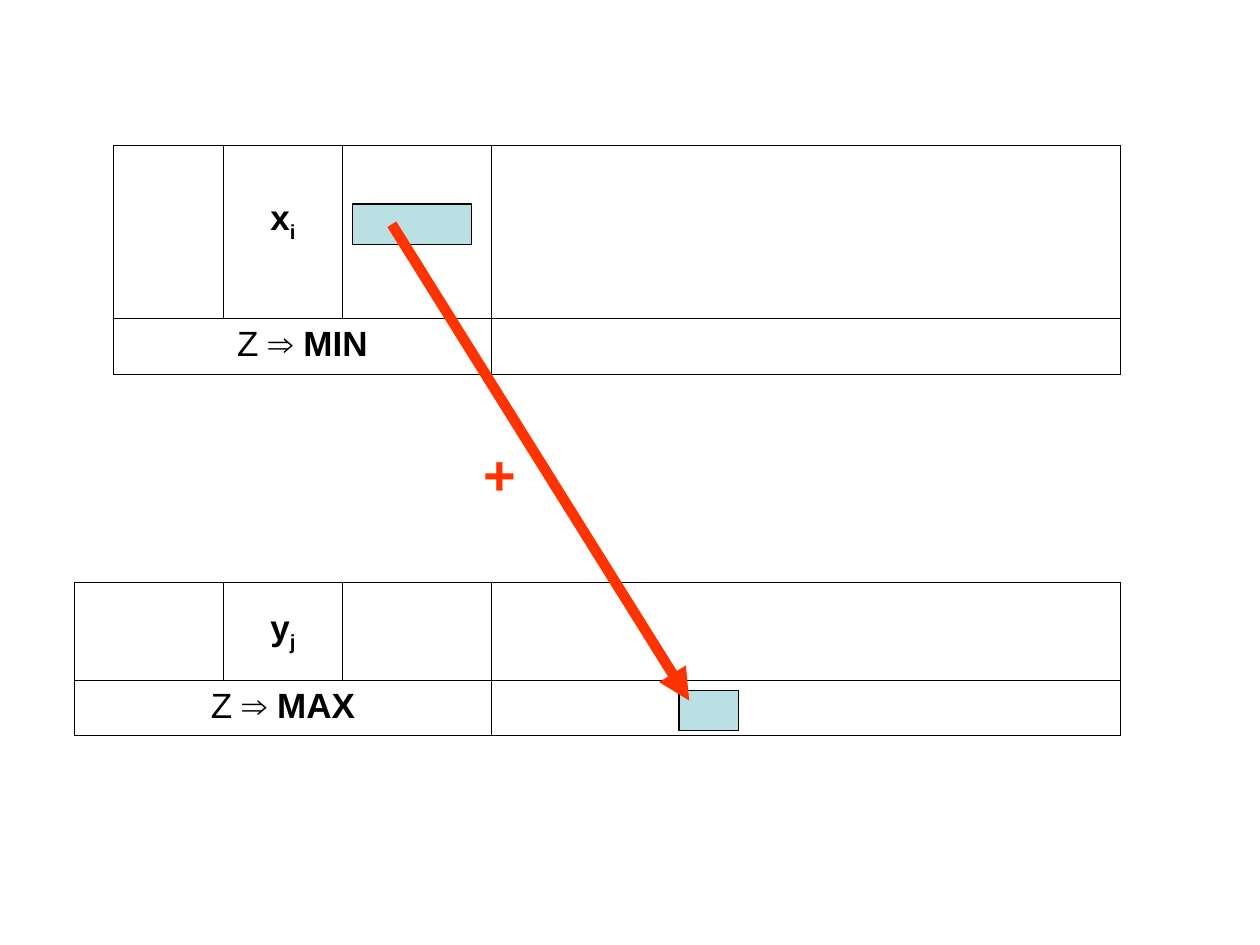
from dataclasses import dataclass
from typing import Any

from lxml import etree
from pptx import Presentation
from pptx import util as u
from pptx.dml.color import RGBColor
from pptx.enum import shapes, text
from pptx.oxml import ns

HUES = {"ink": "000000", "mark": "FF3300", "box": "BBE0E3"}


def hue(name):
    return RGBColor.from_string(HUES[name])


def write(para, words, size=20, bold=False, base=0, color="ink", align=None):
    para.alignment = align
    run = para.add_run()
    run.text = words
    font = run.font
    font.name = "Arial"
    font.size = u.Pt(size)
    font.bold = bold
    font.color.rgb = hue(color)
    if base:
        run._r.get_or_add_rPr().set("baseline", str(base * 1000))


@dataclass
class Sketch:
    slide: Any
    thin: float = 0.75
    edge: float = 0.45

    def border(self, cell):
        cell.fill.background()
        props = cell._tc.get_or_add_tcPr()
        for spot, side in enumerate(("lnL", "lnR", "lnT", "lnB")):
            line = etree.Element(ns.qn("a:" + side), w=str(u.Pt(self.edge)))
            fill = etree.SubElement(line, ns.qn("a:solidFill"))
            etree.SubElement(fill, ns.qn("a:srgbClr"), val=HUES["ink"])
            props.insert(spot, line)

    def grid(self, left, top, cols, rows, name, index, goal, drop=None):
        frame = self.slide.shapes.add_table(
            len(rows), len(cols), u.Inches(left), u.Inches(top),
            u.Inches(sum(cols)), u.Inches(sum(rows)))
        table = frame.table
        table.first_row = table.horz_banding = False
        for col, width in zip(table.columns, cols):
            col.width = u.Inches(width)
        for row, height in zip(table.rows, rows):
            row.height = u.Inches(height)
        for cell in table.iter_cells():
            self.border(cell)
        table.cell(1, 0).merge(table.cell(1, 2))

        mid = text.PP_ALIGN.CENTER
        label = table.cell(0, 1)
        if drop:
            label.margin_top = u.Inches(drop)
        else:
            label.vertical_anchor = text.MSO_ANCHOR.MIDDLE
        para = label.text_frame.paragraphs[0]
        write(para, name, bold=True, align=mid)
        write(para, index, bold=True, base=-25, align=mid)
        para = table.cell(1, 0).text_frame.paragraphs[0]
        write(para, "Z ⇒ ", align=mid)
        write(para, goal, bold=True, align=mid)

    def rect(self, *place):
        box = self.slide.shapes.add_shape(
            shapes.MSO_SHAPE.RECTANGLE, *map(u.Inches, place))
        box.shadow.inherit = False
        box.fill.solid()
        box.fill.fore_color.rgb = hue("box")
        box.line.color.rgb = hue("ink")
        box.line.width = u.Pt(self.thin)

    def line(self, *ends, color="ink", width=None, arrow=False):
        link = self.slide.shapes.add_connector(
            shapes.MSO_CONNECTOR.STRAIGHT, *map(u.Inches, ends))
        link.line.color.rgb = hue(color)
        link.line.width = u.Pt(width or self.thin)
        props = link._element.spPr
        if arrow:
            etree.SubElement(
                props.find(ns.qn("a:ln")), ns.qn("a:tailEnd"), type="triangle")
        etree.SubElement(props, ns.qn("a:effectLst"))

    def label(self, words, *place, **style):
        box = self.slide.shapes.add_textbox(*map(u.Inches, place))
        frame = box.text_frame
        frame.word_wrap = True
        frame.auto_size = text.MSO_AUTO_SIZE.SHAPE_TO_FIT_TEXT
        write(frame.paragraphs[0], words, **style)


def main():
    deck = Presentation()
    deck.slide_width = u.Inches(10)
    deck.slide_height = u.Inches(7.5)
    page = Sketch(deck.slides.add_slide(deck.slide_layouts[6]))

    page.grid(0.9, 1.15, (0.87, 0.95, 1.18, 4.99), (1.38, 0.44),
              "x", "i", "MIN", drop=0.43)
    page.grid(0.59, 4.62, (1.18, 0.95, 1.18, 4.99), (0.78, 0.44),
              "y", "j", "MAX")
    page.rect(2.8, 1.62, 0.94, 0.32)
    page.rect(5.39, 5.48, 0.47, 0.32)
    page.line(3.9, 1.15, 3.9, 2.96)
    page.line(3.9, 5.4, 8.86, 5.4)
    page.line(3.11, 1.78, 5.47, 5.56, color="mark", width=6, arrow=True)
    page.label("+", 3.74, 3.44, 0.55, 0.64, size=32, bold=True, color="mark")
    deck.save("out.pptx")


if __name__ == "__main__":
    main()
